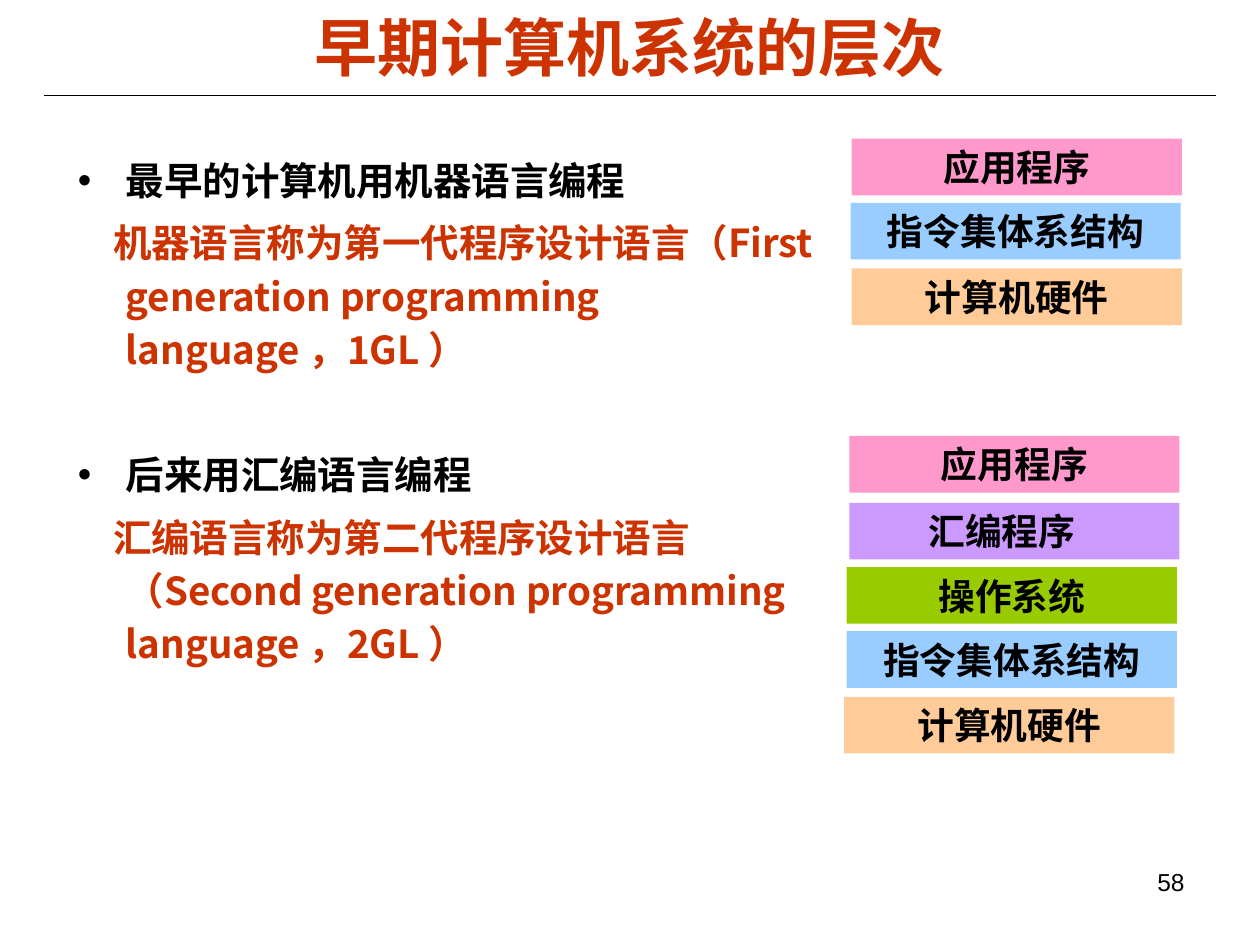
from lxml import etree
from pptx import Presentation
from pptx.dml.color import RGBColor
from pptx.enum.shapes import MSO_CONNECTOR, MSO_SHAPE
from pptx.enum.text import MSO_ANCHOR, PP_ALIGN
from pptx.oxml.ns import qn
from pptx.util import Inches, Pt

LEFT, CENTER, RIGHT = PP_ALIGN.LEFT, PP_ALIGN.CENTER, PP_ALIGN.RIGHT
TOP, MIDDLE = MSO_ANCHOR.TOP, MSO_ANCHOR.MIDDLE
RECTANGLE, STRAIGHT = MSO_SHAPE.RECTANGLE, MSO_CONNECTOR.STRAIGHT

LATIN, CHINESE = "Arial", "Noto Sans CJK SC"
COLORS = {
    "black": "000000", "red": "CC3300", "pink": "FF99CC", "blue": "99CCFF",
    "orange": "FFCC99", "purple": "CC99FF", "green": "99CC00",
}
LAYER_WIDTH, LAYER_HEIGHT = 2.62, 0.45

# Body rows: text, colour, bulleted, space before in points
BODY = [
    ("最早的计算机用机器语言编程", "black", True, 0),
    ("机器语言称为第一代程序设计语言（First generation programming language ，1GL ）",
     "red", False, 5.5),
    ("后来用汇编语言编程", "black", True, 41.3),
    ("汇编语言称为第二代程序设计语言（Second generation programming language ，2GL ）",
     "red", False, 5.5),
]

# Layer rows: text, fill, left edge, top edge, text indent (None means centred)
LAYERS = [
    # Machine language era
    ("应用程序", "pink", 6.76, 1.1, None),
    ("指令集体系结构", "blue", 6.75, 1.61, None),
    ("计算机硬件", "orange", 6.76, 2.13, None),
    # Assembly language era
    ("应用程序", "pink", 6.74, 3.46, None),
    ("汇编程序", "purple", 6.74, 3.99, 0.53),
    ("操作系统", "green", 6.72, 4.5, None),
    ("指令集体系结构", "blue", 6.72, 5.01, None),
    ("计算机硬件", "orange", 6.7, 5.53, None),
]


def rgb(name):
    return RGBColor.from_string(COLORS[name])


def add_span(para, text, size, color="black", bold=True, font=LATIN):
    span = para.add_run()
    span.text = text
    span.font.name = font
    span.font.size = Pt(size)
    span.font.bold = bold
    span.font.color.rgb = rgb(color)
    east_asian = etree.SubElement(span.font._element, qn("a:ea"))
    east_asian.set("typeface", CHINESE)


def add_text_box(page, left, top, width, height, anchor=TOP):
    box = page.shapes.add_textbox(Inches(left), Inches(top), Inches(width), Inches(height))
    box.text_frame.word_wrap = True
    box.text_frame.vertical_anchor = anchor
    return box.text_frame


def add_label(page, place, text, size, align, anchor=TOP, **style):
    frame = add_text_box(page, *place, anchor=anchor)
    para = frame.paragraphs[0]
    para.alignment = align
    add_span(para, text, size, **style)


def set_hanging(para, bulleted):
    properties = para._p.get_or_add_pPr()
    properties.set("marL", str(Inches(0.38)))
    properties.set("indent", str(Inches(-0.38 if bulleted else -0.1)))
    if bulleted:
        color = etree.SubElement(properties, qn("a:buClr"))
        etree.SubElement(color, qn("a:srgbClr")).set("val", COLORS["black"])
        etree.SubElement(properties, qn("a:buFont")).set("typeface", LATIN)
        etree.SubElement(properties, qn("a:buChar")).set("char", "•")
    else:
        etree.SubElement(properties, qn("a:buNone"))


def add_body(page):
    frame = add_text_box(page, 0.52, 1.14, 6.16, 5.69)
    for index, (text, color, bulleted, space) in enumerate(BODY):
        para = frame.add_paragraph() if index else frame.paragraphs[0]
        set_hanging(para, bulleted)
        para.line_spacing = 1.15
        if space:
            para.space_before = Pt(space)
        add_span(para, text, 22, color, font=CHINESE)


def add_layer(page, text, fill, left, top, indent):
    layer = page.shapes.add_shape(
        RECTANGLE, Inches(left), Inches(top), Inches(LAYER_WIDTH), Inches(LAYER_HEIGHT))
    layer.shadow.inherit = False
    layer.fill.solid()
    layer.fill.fore_color.rgb = rgb(fill)
    layer.line.fill.background()
    frame = layer.text_frame
    frame.word_wrap = True
    frame.vertical_anchor = MIDDLE
    para = frame.paragraphs[0]
    para.alignment = CENTER if indent is None else LEFT
    if indent is not None:
        para._p.get_or_add_pPr().set("marL", str(Inches(indent)))
    add_span(para, text, 21)


def add_rule(page):
    rule = page.shapes.add_connector(
        STRAIGHT, Inches(0.35), Inches(0.76), Inches(9.65), Inches(0.76))
    rule.line.color.rgb = rgb("black")
    rule.line.width = Pt(0.75)
    etree.SubElement(rule._element.spPr, qn("a:effectLst"))


def main():
    deck = Presentation()
    deck.slide_width, deck.slide_height = Inches(10), Inches(7.5)
    page = deck.slides.add_slide(deck.slide_layouts[6])

    # Heading
    add_rule(page)
    add_label(page, (0.5, 0.06, 9, 0.61), "早期计算机系统的层次", 36, CENTER,
              anchor=MIDDLE, color="red")

    # Explanation and the two layer diagrams
    add_body(page)
    for layer in LAYERS:
        add_layer(page, *layer)

    # Page number
    add_label(page, (7.17, 6.83, 2.33, 0.52), "58", 14, RIGHT, bold=False)

    deck.save("out.pptx")


if __name__ == "__main__":
    main()
